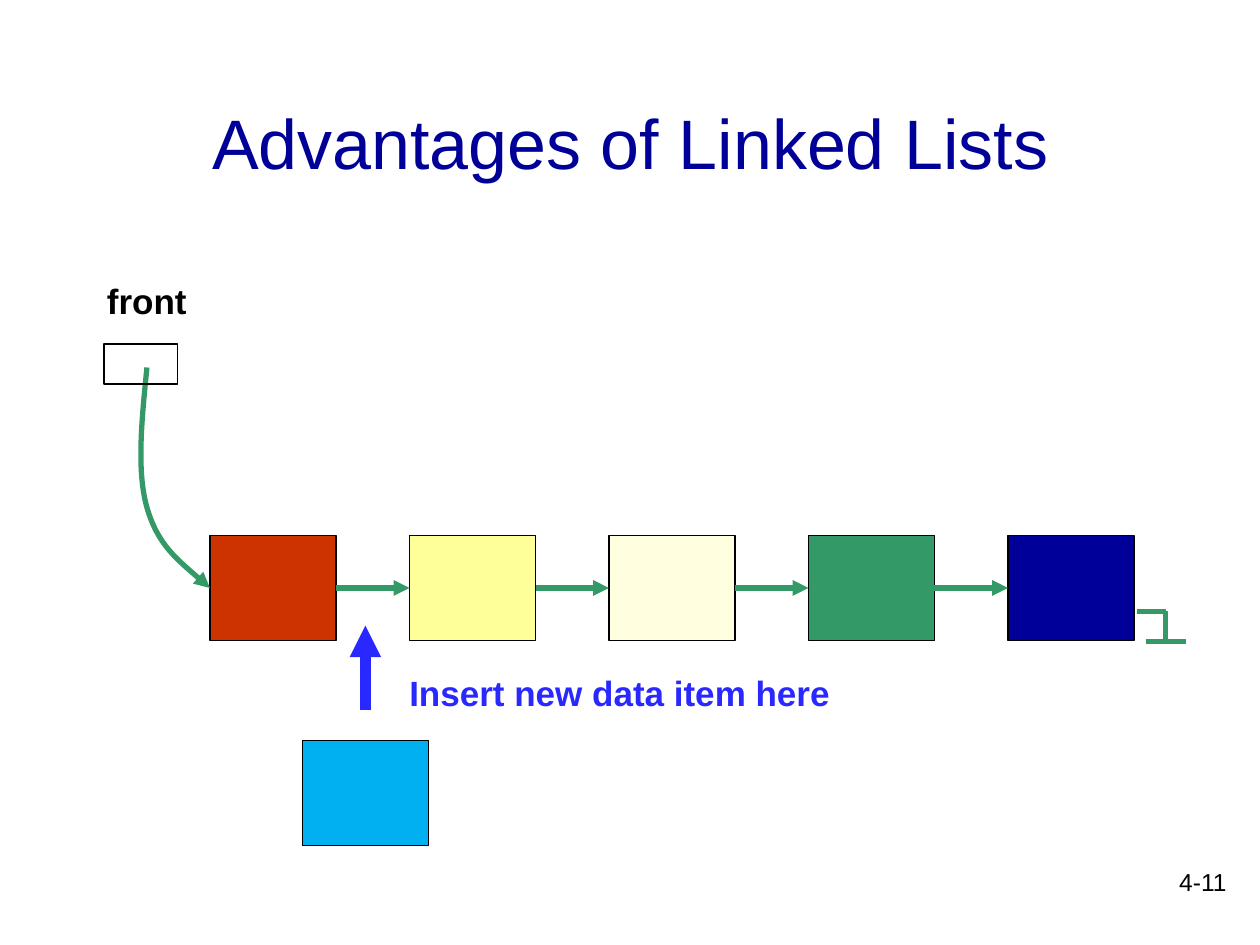
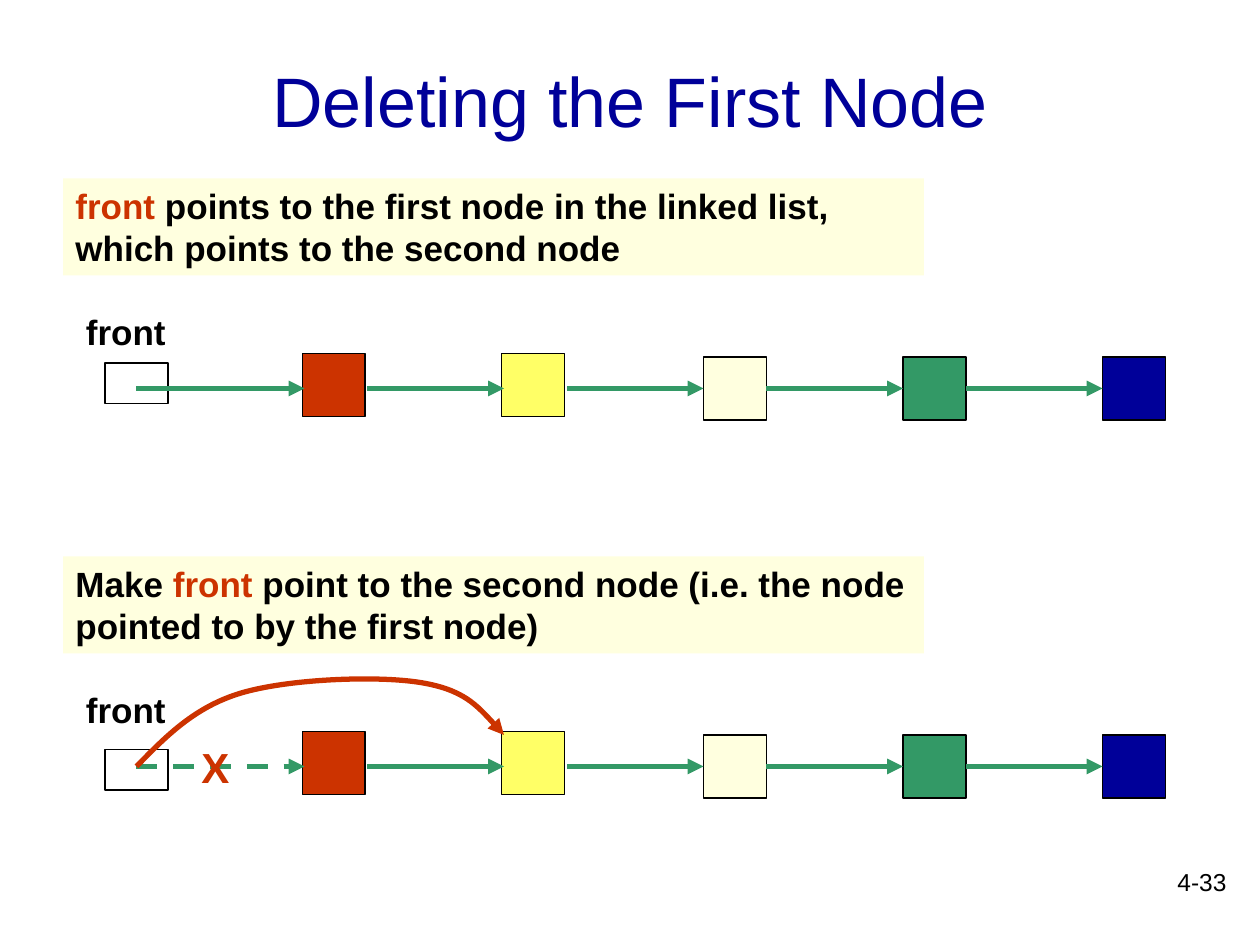
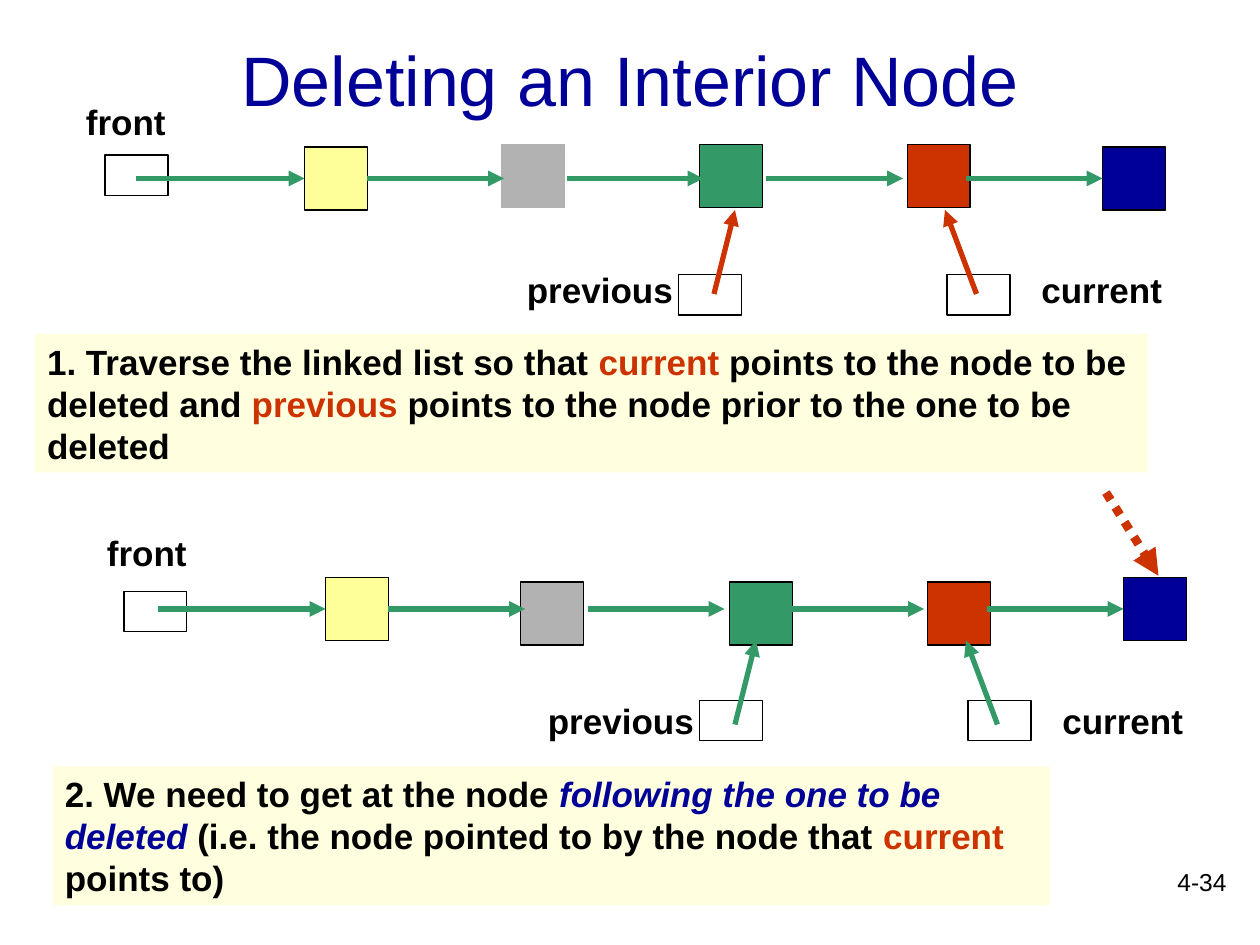
from lxml.etree import SubElement
from pptx import Presentation
from pptx.dml.color import RGBColor
from pptx.enum.dml import MSO_LINE
from pptx.enum.shapes import MSO_CONNECTOR, MSO_SHAPE
from pptx.enum.text import MSO_ANCHOR, MSO_AUTO_SIZE, PP_ALIGN
from pptx.oxml.ns import qn
from pptx.util import Pt

FONT = "Arial"
BLACK, NAVY, RED, GREEN = "000000", "000099", "CC3300", "339966"
YELLOW, PALE_YELLOW, CREAM = "FFFF66", "FFFF99", "FFFFDF"
GRAY, SKY, BLUE = "B2B2B2", "00B0F0", "2929FF"
NODE, PITCH, FIRST_NODE, ROW_AXIS = 36, 114, 132, 48


def rgb(value):
    return RGBColor.from_string(value)


def format_run(r, size, color, bold=False, italic=False):
    r.font.name = FONT
    r.font.size = Pt(size)
    r.font.color.rgb = rgb(color)
    r.font.bold = bold
    r.font.italic = italic


def add_text(s, x, y, w, h, runs, size=20, bold=True, align=PP_ALIGN.LEFT, wrap=True):
    sp = s.shapes.add_textbox(Pt(x), Pt(y), Pt(w), Pt(h))
    tf = sp.text_frame
    tf.word_wrap = wrap
    p = tf.paragraphs[0]
    p.alignment = align
    for text, color, *italic in runs:
        r = p.add_run()
        r.text = text
        format_run(r, size, color, bold, bool(italic))
    return sp


def add_label(s, x, y, text, w=72):
    add_text(s, x, y, w, 31.7, [(text, BLACK)])


def add_caption(s, x, y, w, h, runs):
    sp = add_text(s, x, y, w, h, runs)
    sp.fill.solid()
    sp.fill.fore_color.rgb = rgb(CREAM)


def add_rect(s, x, y, w, h, fill=None, line=BLACK):
    sp = s.shapes.add_shape(MSO_SHAPE.RECTANGLE, Pt(x), Pt(y), Pt(w), Pt(h))
    sp.shadow.inherit = False
    if fill:
        sp.fill.solid()
        sp.fill.fore_color.rgb = rgb(fill)
    else:
        sp.fill.background()
    sp.line.color.rgb = rgb(line)
    sp.line.width = Pt(0.75)
    return sp


def add_pointer_box(s, x, y, w=NODE):
    return add_rect(s, x, y, w, 23)


def style_line(sp, color, width, dash, head):
    sp.line.color.rgb = rgb(color)
    sp.line.width = Pt(width)
    if dash:
        sp.line.dash_style = dash
    if head:
        ln = sp.element.spPr.find(qn("a:ln"))
        SubElement(ln, qn("a:tailEnd")).set("type", "triangle")


def find_side(nodes, x, y):
    for node in nodes:
        middle_x, middle_y = node.left + node.width / 2, node.top + node.height / 2
        sides = [(middle_x, node.top), (node.left, middle_y),
                 (middle_x, node.top + node.height), (node.left + node.width, middle_y)]
        for i, (side_x, side_y) in enumerate(sides):
            if max(abs(side_x - Pt(x)), abs(side_y - Pt(y))) < Pt(1):
                return node, i
    return None


def add_line(s, x1, y1, x2, y2, color=GREEN, width=3, dash=None, head=True, nodes=()):
    c = s.shapes.add_connector(MSO_CONNECTOR.STRAIGHT, Pt(x1), Pt(y1), Pt(x2), Pt(y2))
    style_line(c, color, width, dash, head)
    SubElement(c.element.spPr, qn("a:effectLst"))
    start, end = find_side(nodes, x1, y1), find_side(nodes, x2, y2)
    if start:
        c.begin_connect(*start)
    if end:
        c.end_connect(*end)


def add_curve(s, x, y, points, color):
    points = [(Pt(x + dx), Pt(y + dy)) for dx, dy in points]
    builder = s.shapes.build_freeform(*points[0])
    builder.add_line_segments(points[1:], close=False)
    sp = builder.convert_to_shape()
    sp.shadow.inherit = False
    sp.fill.background()
    style_line(sp, color, 3, None, True)
    outline = sp.element.find(".//" + qn("a:path"))
    segments = outline.findall(qn("a:lnTo"))
    for i in range(0, len(segments), 3):
        bezier = SubElement(outline, qn("a:cubicBezTo"))
        for segment in segments[i:i + 3]:
            bezier.append(segment[0])
            outline.remove(segment)


def add_slide(prs, title, number, top, height):
    s = prs.slides.add_slide(prs.slide_layouts[5])
    sp = s.shapes.title
    sp.left, sp.top, sp.width, sp.height = Pt(54), Pt(top), Pt(612), Pt(height)
    tf = sp.text_frame
    tf.text = title
    tf.auto_size = MSO_AUTO_SIZE.NONE
    tf.vertical_anchor = MSO_ANCHOR.MIDDLE
    tf.paragraphs[0].alignment = PP_ALIGN.CENTER
    format_run(tf.paragraphs[0].runs[0], 40, NAVY)
    add_text(s, 558, 492, 150, 36, [(number, BLACK)], 14, False, PP_ALIGN.RIGHT)
    return s


def draw_list_row(s, x, y, box, nodes, first_dash=None):
    add_pointer_box(s, x + box[0], y + box[1])
    add_label(s, x, y, "front")
    rects = []
    for i, (fill, line, dx, dy) in enumerate(nodes):
        left = x + FIRST_NODE + i * PITCH + dx
        rects.append(add_rect(s, left, y + ROW_AXIS - NODE / 2 + dy, NODE, NODE, fill, line))
    axis = y + ROW_AXIS
    add_line(s, x + 36, axis, x + FIRST_NODE, axis, dash=first_dash, nodes=rects)
    for i in range(len(nodes) - 1):
        start = x + FIRST_NODE + NODE + i * PITCH
        add_line(s, start, axis, start + PITCH - NODE, axis, nodes=rects)


def draw_walkers(s, x, y, box_y, color):
    walkers = [("previous", 252, 345.8, 366, 378), ("current", 546, 499.2, 516, 498)]
    for name, label_x, box_x, start, end in walkers:
        add_pointer_box(s, x + box_x, y + box_y)
        add_label(s, x + label_x, y + 96, name, 102)
        add_line(s, x + start, y + 114, x + end, y + 66, color)


def draw_wide_list(s, x, y):
    w, h, gap = 72, 60, 42
    fills = [RED, PALE_YELLOW, CREAM, GREEN, NAVY]
    rects = [add_rect(s, x + i * (w + gap), y, w, h, fill) for i, fill in enumerate(fills)]
    for i in range(len(fills) - 1):
        start = x + w + i * (w + gap)
        add_line(s, start, y + h / 2, start + gap, y + h / 2, nodes=rects)
    add_label(s, x - 66, y - 150, "front")
    add_curve(s, x - 42, y - 96, [(6, 0), (3, 30), (0, 59), (6, 80),
                                  (12, 101), (27, 113), (42, 126)], GREEN)
    add_pointer_box(s, x - 60.5, y - 109.5, 42)
    for x1, y1, x2, y2 in [(529.5, 43.3, 546, 43.3), (546, 43.3, 546, 60.5),
                           (535, 60.5, 557.5, 60.5)]:
        add_line(s, x + x1, y + y1, x + x2, y + y2, head=False)


def draw_insertion(s, x, y):
    add_rect(s, x, y, 72, 60, SKY)
    add_line(s, x + 36, y - 17, x + 36, y - 65.5, BLUE, 6)
    add_text(s, x + 54, y - 43, 255, 31.7, [("Insert new data item here", BLUE)], wrap=False)


def draw_bypass(s, x, y):
    add_text(s, x + 66, y + 30, 36, 36, [("X", RED)], 24)
    add_curve(s, x, y, [(36, 48), (52.5, 31.2), (69, 14), (96, 6), (123, -2), (173, -4),
                        (198, 0), (223, 4), (234.5, 17), (246, 30)], RED)


def build_advantages(prs):
    s = add_slide(prs, "Advantages of Linked Lists", "4-11", 36, 90)
    draw_wide_list(s, 120, 306)
    draw_insertion(s, 172.8, 423)


def build_first_node(prs):
    s = add_slide(prs, "Deleting the First Node", "4-33", 12, 90)
    nodes = [(RED, BLACK, -1.3, -2), (YELLOW, BLACK, -1.3, -2),
             (CREAM, BLACK, 0, 0), (GREEN, BLACK, 0, 0), (NAVY, BLACK, 0, 0)]
    steps = [
        (102, 33.4, None,
         [("front", RED),
          (" points to the first node in the linked list, which points to the second node", BLACK)]),
        (318, 38.4, MSO_LINE.DASH,
         [("Make ", BLACK), ("front", RED),
          (" point to the second node (i.e. the node pointed to by the first node)", BLACK)]),
    ]
    for top, box_y, dash, runs in steps:
        add_caption(s, 36, top, 492, 55.4, runs)
        draw_list_row(s, 42, top + 72, (18, box_y), nodes, dash)
    draw_bypass(s, 42, 390)


def build_interior_node(prs):
    s = add_slide(prs, "Deleting an Interior Node", "4-34", 12, 66)
    draw_list_row(s, 42, 54, (18, 34.6), [
        (PALE_YELLOW, BLACK, 0, 0), (GRAY, GRAY, -1.4, -1.2), (GREEN, BLACK, -2.4, -1.2),
        (RED, BLACK, 2.4, -1.2), (NAVY, BLACK, 0, 0)])
    draw_walkers(s, 42, 54, 103, RED)
    add_caption(s, 19.8, 190.8, 636, 79.2, [
        ("1. Traverse the linked list so that", BLACK), (" current", RED),
        (" points to the node to be deleted and ", BLACK), ("previous", RED),
        (" points to the node prior to the one to be deleted", BLACK)])
    draw_list_row(s, 54, 300, (16.8, 37.8), [
        (PALE_YELLOW, BLACK, 0, 0), (GRAY, BLACK, -2.6, 2.6), (GREEN, BLACK, 2.9, 2.6),
        (RED, BLACK, 1.9, 2.6), (NAVY, BLACK, 0, 0)])
    draw_walkers(s, 54, 300, 100.3, GREEN)
    add_caption(s, 30, 438, 570, 79.2, [
        ("2. We need to get at the node ", BLACK),
        ("following the one to be deleted ", NAVY, True),
        ("(i.e. the node pointed to by the node that ", BLACK),
        ("current ", RED), ("points to)", BLACK)])
    add_line(s, 632, 281.5, 662, 329, RED, 5, MSO_LINE.ROUND_DOT)


def main():
    prs = Presentation()
    prs.slide_width, prs.slide_height = Pt(720), Pt(540)
    build_advantages(prs)
    build_first_node(prs)
    build_interior_node(prs)
    prs.save("out.pptx")


if __name__ == "__main__":
    main()
